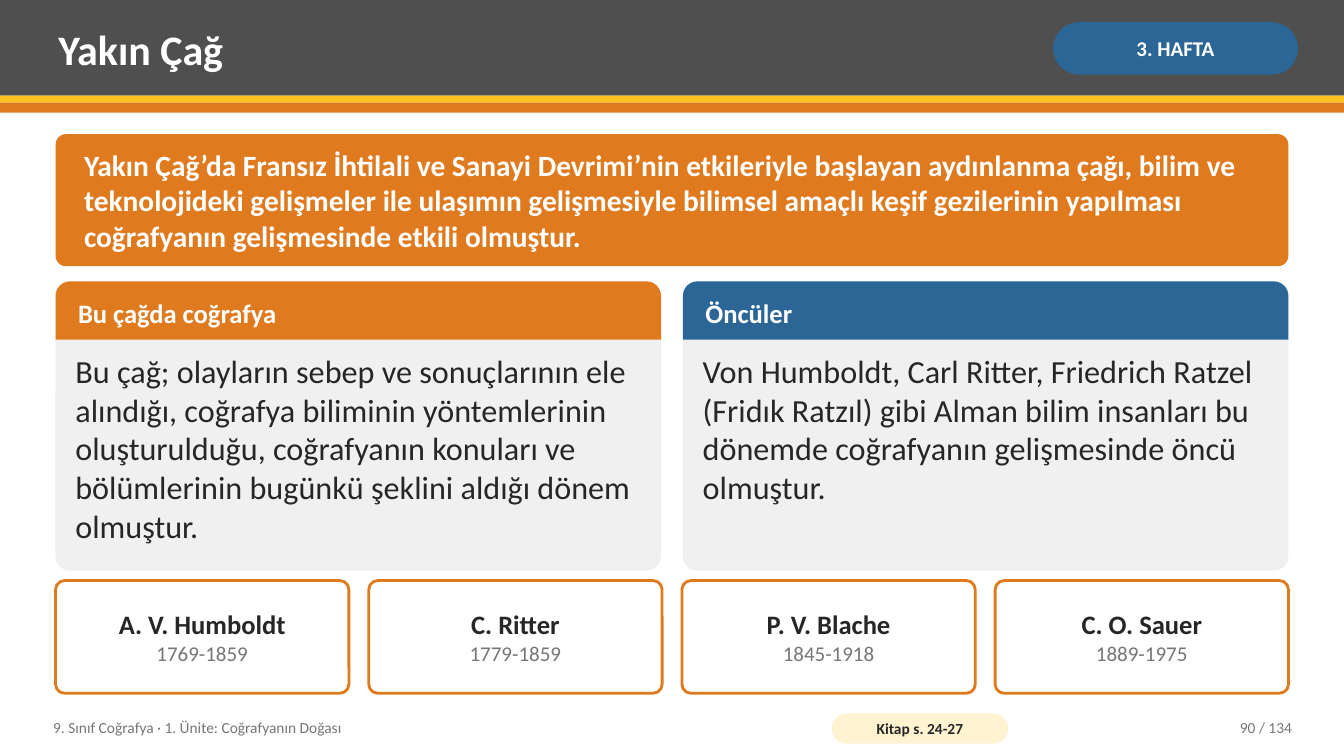
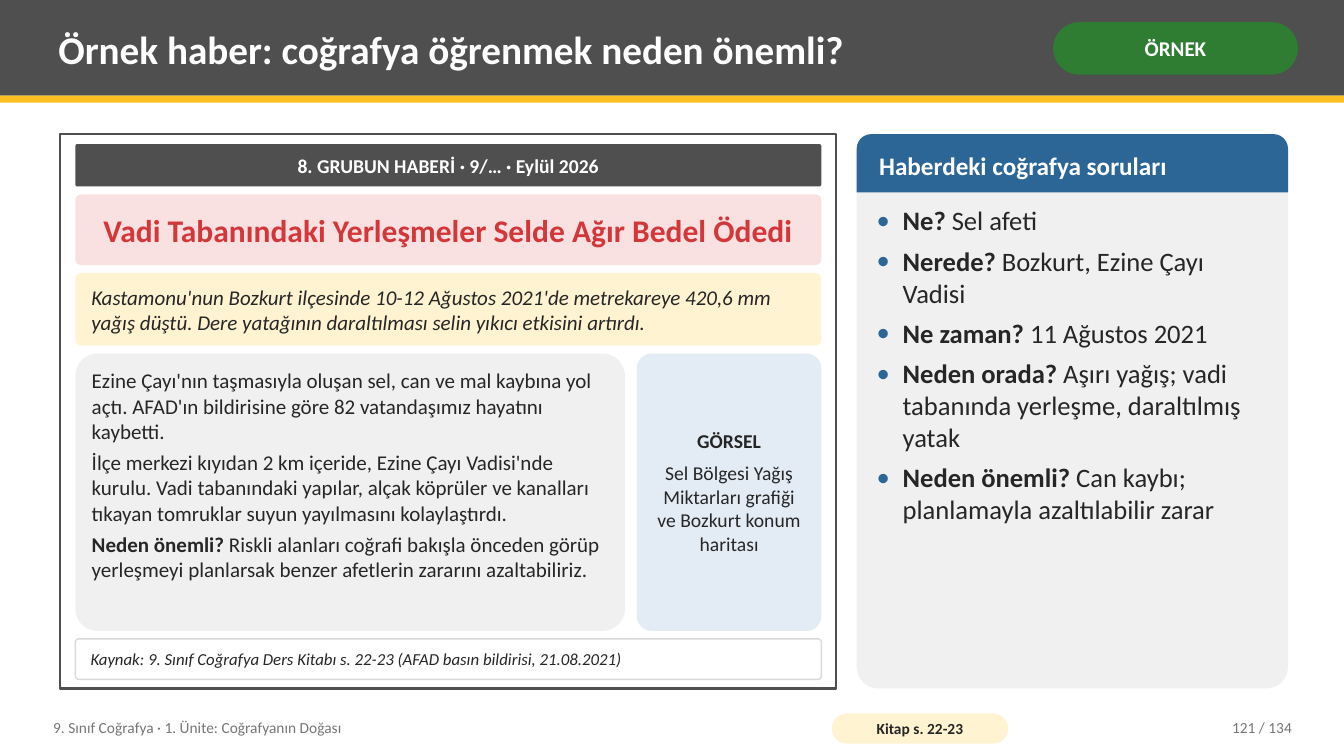
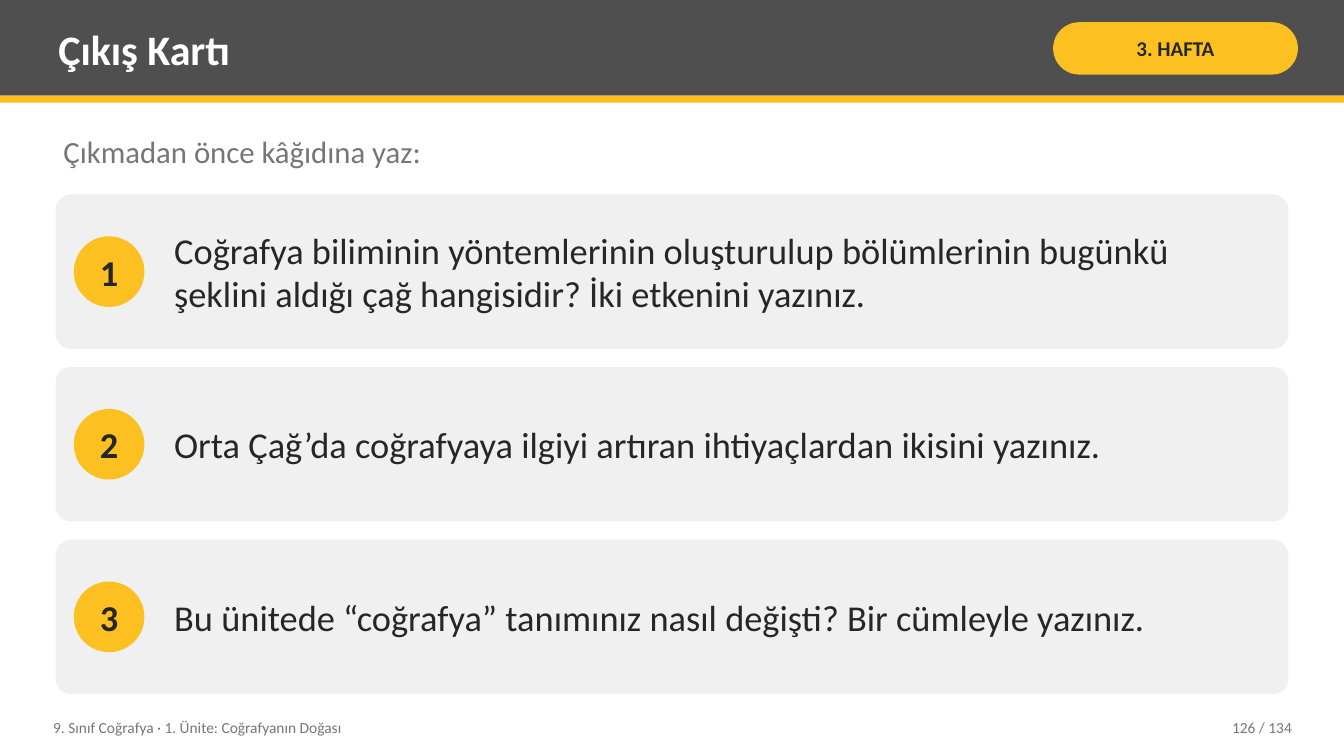
from lxml.etree import SubElement
from pptx import Presentation
from pptx.dml.color import RGBColor
from pptx.enum.shapes import MSO_SHAPE
from pptx.enum.text import MSO_ANCHOR, PP_ALIGN
from pptx.oxml.ns import qn
from pptx.util import Cm, Pt

FONT = "Calibri"
WHITE = RGBColor(0xFF, 0xFF, 0xFF)
CHARCOAL = RGBColor(0x4F, 0x4F, 0x4F)
INK = RGBColor(0x26, 0x26, 0x26)
MUTED = RGBColor(0x76, 0x76, 0x76)
PANEL = RGBColor(0xF0, 0xF0, 0xF0)
RULE = RGBColor(0xD9, 0xD9, 0xD9)
YELLOW = RGBColor(0xFC, 0xC0, 0x21)
CREAM = RGBColor(0xFF, 0xF3, 0xD1)
ORANGE = RGBColor(0xE0, 0x7A, 0x1F)
BLUE = RGBColor(0x2C, 0x66, 0x96)
PALE_BLUE = RGBColor(0xE3, 0xEC, 0xF5)
GREEN = RGBColor(0x2E, 0x7D, 0x32)
RED = RGBColor(0xD3, 0x37, 0x3A)
PALE_RED = RGBColor(0xF9, 0xE1, 0xE1)

SLIDE_W, SLIDE_H = 33.87, 19.05
LEFT, CONTENT_W = 1.4, 31.07
CONTENT_TOP = 3.38
HEADER_H, STRIPE_H = 2.41, 0.18
PAGE_COUNT = 134
UNIT = "9. Sınıf Coğrafya · 1. Ünite: Coğrafyanın Doğası"

LEFT_ALIGN, CENTER, RIGHT = PP_ALIGN.LEFT, PP_ALIGN.CENTER, PP_ALIGN.RIGHT
TOP, MIDDLE = MSO_ANCHOR.TOP, MSO_ANCHOR.MIDDLE
TEXT_INSETS = (0.2, 0.1)
BOX_INSETS = (0.36, 0.2)


def run(text, size, color=INK, bold=False, italic=False):
    return text, size, color, bold, italic


def add_bullet(paragraph, color):
    props = paragraph._p.get_or_add_pPr()
    props.set("marL", str(Cm(0.66)))
    props.set("indent", str(-Cm(0.66)))
    bullet_color = SubElement(props, qn("a:buClr"))
    SubElement(bullet_color, qn("a:srgbClr")).set("val", str(color))
    SubElement(props, qn("a:buFont")).set("typeface", FONT)
    SubElement(props, qn("a:buChar")).set("char", "•")


def write(shape, paragraphs, align=LEFT_ALIGN, anchor=MIDDLE,
          insets=TEXT_INSETS, after=0, bullet=None):
    frame = shape.text_frame
    frame.word_wrap = True
    frame.vertical_anchor = anchor
    frame.margin_left = frame.margin_right = Cm(insets[0])
    frame.margin_top = frame.margin_bottom = Cm(insets[1])
    for index, runs in enumerate(paragraphs):
        paragraph = frame.add_paragraph() if index else frame.paragraphs[0]
        if bullet is not None:
            add_bullet(paragraph, bullet)
        paragraph.alignment = align
        if index < len(paragraphs) - 1:
            paragraph.space_after = Pt(after)
        for text, size, color, bold, italic in runs:
            piece = paragraph.add_run()
            piece.text = text
            piece.font.name = FONT
            piece.font.size = Pt(size)
            piece.font.color.rgb = color
            piece.font.bold = bold
            piece.font.italic = italic


def add_text(slide, box, paragraphs, **style):
    write(slide.shapes.add_textbox(*map(Cm, box)), paragraphs, **style)


def add_block(slide, kind, box, fill, corners=(), line=None, line_width=1):
    block = slide.shapes.add_shape(kind, *map(Cm, box))
    block.shadow.inherit = False
    block.fill.solid()
    block.fill.fore_color.rgb = fill
    if line is None:
        block.line.fill.background()
    else:
        block.line.color.rgb = line
        block.line.width = Pt(line_width)
    for index, corner in enumerate(corners):
        block.adjustments[index] = corner
    return block


def add_panel(slide, box, fill, corner=0.08, **line):
    return add_block(slide, MSO_SHAPE.ROUNDED_RECTANGLE, box, fill, (corner,), **line)


def add_header(slide, title, size, badge, badge_fill, badge_color=WHITE):
    add_block(slide, MSO_SHAPE.RECTANGLE, (0, 0, SLIDE_W, HEADER_H), CHARCOAL)
    add_block(slide, MSO_SHAPE.RECTANGLE, (0, HEADER_H, SLIDE_W, STRIPE_H), YELLOW)
    add_text(slide, (1.27, 0.18, 24.77, 2.08), [[run(title, size, WHITE, True)]])
    pill = add_panel(slide, (26.54, 0.56, 6.17, 1.32), badge_fill, 0.5)
    write(pill, [[run(badge, 15, badge_color, True)]], align=CENTER, insets=(0.13, 0.05))


def add_footer(slide, page, book_pages=None):
    top, height = 17.88, 0.91
    add_text(slide, (1.14, top, 19.3, height), [[run(UNIT, 11, MUTED)]])
    if book_pages:
        pill = add_panel(slide, (20.96, top + 0.1, 4.45, 0.76), CREAM, 0.5)
        write(pill, [[run(f"Kitap s. {book_pages}", 11, bold=True)]],
              align=CENTER, insets=(0.1, 0))
    add_text(slide, (28.7, top, 4.06, height),
             [[run(f"{page} / {PAGE_COUNT}", 11, MUTED)]], align=RIGHT)


def add_card(slide, box, heading, heading_size, color, paragraphs, **style):
    x, y, width, height = box
    heading_h, side, gap = 1.47, 0.3, 0.2
    add_panel(slide, box, PANEL, 0.05)
    heading_bar = add_block(slide, MSO_SHAPE.ROUND_2_SAME_RECTANGLE,
                            (x, y, width, heading_h), color, (0.25, 0))
    write(heading_bar, [[run(heading, heading_size, WHITE, True)]], insets=(0.46, 0.1))
    body = (x + side, y + heading_h + gap, width - 2 * side, height - heading_h - 2 * gap)
    add_text(slide, body, paragraphs, anchor=TOP, **style)


def add_pioneers(slide, box, pioneers):
    x, y, width, height = box
    gap = 0.5
    card_w = (width - gap * (len(pioneers) - 1)) / len(pioneers)
    for index, (name, years) in enumerate(pioneers):
        card = add_panel(slide, (x + index * (card_w + gap), y, card_w, height),
                         WHITE, line=ORANGE, line_width=2)
        write(card, [[run(name, 19, bold=True)], [run(years, 15, MUTED)]],
              align=CENTER, insets=BOX_INSETS)


def add_news(slide, box):
    x, y, width, height = box
    add_block(slide, MSO_SHAPE.RECTANGLE, box, WHITE, line=CHARCOAL, line_width=1.5)
    margin, gap = 0.38, 0.2
    inner_x, inner_w = x + margin, width - 2 * margin
    article_h, visual_w, column_gap = 6.99, 4.65, 0.3
    row_y = y + 0.25

    masthead = add_panel(slide, (inner_x, row_y, inner_w, 1.07), CHARCOAL, 0.05)
    write(masthead, [[run("8. GRUBUN HABERİ · 9/… · Eylül 2026", 14, WHITE, True)]],
          align=CENTER, insets=BOX_INSETS)
    row_y += 1.07 + gap

    headline = add_panel(slide, (inner_x, row_y, inner_w, 1.78), PALE_RED)
    write(headline, [[run("Vadi Tabanındaki Yerleşmeler Selde Ağır Bedel Ödedi", 22.5, RED, True)]],
          align=CENTER, insets=BOX_INSETS)
    row_y += 1.78 + gap

    lead = add_panel(slide, (inner_x, row_y, inner_w, 1.83), CREAM)
    write(lead, [[run("Kastamonu'nun Bozkurt ilçesinde 10-12 Ağustos 2021'de metrekareye "
                      "420,6 mm yağış düştü. Dere yatağının daraltılması selin yıkıcı "
                      "etkisini artırdı.", 15, italic=True)]], insets=BOX_INSETS)
    row_y += 1.83 + gap

    article_w = inner_w - visual_w - column_gap
    article = add_panel(slide, (inner_x, row_y, article_w, article_h), PANEL)
    write(article, [
        [run("Ezine Çayı'nın taşmasıyla oluşan sel, can ve mal kaybına yol açtı. "
             "AFAD'ın bildirisine göre 82 vatandaşımız hayatını kaybetti.", 15)],
        [run("İlçe merkezi kıyıdan 2 km içeride, Ezine Çayı Vadisi'nde kurulu. Vadi "
             "tabanındaki yapılar, alçak köprüler ve kanalları tıkayan tomruklar "
             "suyun yayılmasını kolaylaştırdı.", 15)],
        [run("Neden önemli?", 15, bold=True),
         run(" Riskli alanları coğrafi bakışla önceden görüp yerleşmeyi planlarsak "
             "benzer afetlerin zararını azaltabiliriz.", 15)],
    ], anchor=TOP, insets=(0.25, 0.2), after=4.4)

    visual = add_panel(slide, (inner_x + article_w + column_gap, row_y, visual_w, article_h),
                       PALE_BLUE)
    write(visual, [
        [run("GÖRSEL", 14, bold=True)],
        [run("Sel Bölgesi Yağış Miktarları grafiği ve Bozkurt konum haritası", 14)],
    ], align=CENTER, insets=BOX_INSETS, after=6)
    row_y += article_h + gap

    citation = add_panel(slide, (inner_x, row_y, inner_w, 1.02), WHITE, line=RULE)
    write(citation, [[run("Kaynak: 9. Sınıf Coğrafya Ders Kitabı s. 22-23 "
                          "(AFAD basın bildirisi, 21.08.2021)", 12, italic=True)]],
          insets=BOX_INSETS)


def add_question(slide, box, number, question):
    x, y, width, height = box
    diameter, text_dx = 1.78, 2.79
    add_panel(slide, box, PANEL, 0.1)
    disc = add_block(slide, MSO_SHAPE.OVAL,
                     (x + 0.46, y + (height - diameter) / 2, diameter, diameter), YELLOW)
    write(disc, [[run(str(number), 26, bold=True)]], align=CENTER, insets=(0, 0))
    add_text(slide, (x + text_dx, y, width - text_dx - 0.51, height), [[run(question, 26)]])


def build_modern_age(slide):
    add_header(slide, "Yakın Çağ", 30, "3. HAFTA", BLUE)
    add_block(slide, MSO_SHAPE.RECTANGLE, (0, HEADER_H + STRIPE_H, SLIDE_W, 0.25), ORANGE)
    summary = add_panel(slide, (LEFT, CONTENT_TOP, CONTENT_W, 3.33), ORANGE)
    write(summary, [[run("Yakın Çağ’da Fransız İhtilali ve Sanayi Devrimi’nin etkileriyle "
                         "başlayan aydınlanma çağı, bilim ve teknolojideki gelişmeler ile "
                         "ulaşımın gelişmesiyle bilimsel amaçlı keşif gezilerinin yapılması "
                         "coğrafyanın gelişmesinde etkili olmuştur.", 21, WHITE, True)]],
          insets=(0.64, 0.2))
    cards = [
        ("Bu çağda coğrafya", ORANGE,
         "Bu çağ; olayların sebep ve sonuçlarının ele alındığı, coğrafya biliminin "
         "yöntemlerinin oluşturulduğu, coğrafyanın konuları ve bölümlerinin bugünkü "
         "şeklini aldığı dönem olmuştur."),
        ("Öncüler", BLUE,
         "Von Humboldt, Carl Ritter, Friedrich Ratzel (Fridık Ratzıl) gibi Alman bilim "
         "insanları bu dönemde coğrafyanın gelişmesinde öncü olmuştur."),
    ]
    gap = 0.55
    card_w = (CONTENT_W - gap) / 2
    for index, (heading, color, body) in enumerate(cards):
        add_card(slide, (LEFT + index * (card_w + gap), 7.09, card_w, 7.29),
                 heading, 19, color, [[run(body, 23)]])
    add_pioneers(slide, (LEFT, 14.63, CONTENT_W, 2.84), [
        ("A. V. Humboldt", "1769-1859"),
        ("C. Ritter", "1779-1859"),
        ("P. V. Blache", "1845-1918"),
        ("C. O. Sauer", "1889-1975"),
    ])
    add_footer(slide, 90, "24-27")


def build_news_example(slide):
    add_header(slide, "Örnek haber: coğrafya öğrenmek neden önemli?", 28, "ÖRNEK", GREEN)
    add_news(slide, (1.52, CONTENT_TOP, 19.56, 13.97))
    answers = [
        ("Ne?", "Sel afeti"),
        ("Nerede?", "Bozkurt, Ezine Çayı Vadisi"),
        ("Ne zaman?", "11 Ağustos 2021"),
        ("Neden orada?", "Aşırı yağış; vadi tabanında yerleşme, daraltılmış yatak"),
        ("Neden önemli?", "Can kaybı; planlamayla azaltılabilir zarar"),
    ]
    add_card(slide, (21.59, CONTENT_TOP, 10.87, 13.97), "Haberdeki coğrafya soruları", 18, BLUE,
             [[run(question, 19, bold=True), run(f" {answer}", 19)]
              for question, answer in answers],
             after=6, bullet=BLUE)
    add_footer(slide, 121, "22-23")


def build_exit_card(slide):
    add_header(slide, "Çıkış Kartı", 30, "3. HAFTA", YELLOW, INK)
    add_text(slide, (LEFT, 3.25, CONTENT_W, 1.4),
             [[run("Çıkmadan önce kâğıdına yaz:", 22, MUTED)]], anchor=TOP)
    questions = [
        "Coğrafya biliminin yöntemlerinin oluşturulup bölümlerinin bugünkü şeklini "
        "aldığı çağ hangisidir? İki etkenini yazınız.",
        "Orta Çağ’da coğrafyaya ilgiyi artıran ihtiyaçlardan ikisini yazınız.",
        "Bu ünitede “coğrafya” tanımınız nasıl değişti? Bir cümleyle yazınız.",
    ]
    row_h, gap = 3.89, 0.46
    for index, question in enumerate(questions):
        add_question(slide, (LEFT, 4.9 + index * (row_h + gap), CONTENT_W, row_h),
                     index + 1, question)
    add_footer(slide, 126)


def main():
    deck = Presentation()
    deck.slide_width, deck.slide_height = Cm(SLIDE_W), Cm(SLIDE_H)
    for build in (build_modern_age, build_news_example, build_exit_card):
        build(deck.slides.add_slide(deck.slide_layouts[6]))
    deck.save("out.pptx")


if __name__ == "__main__":
    main()
